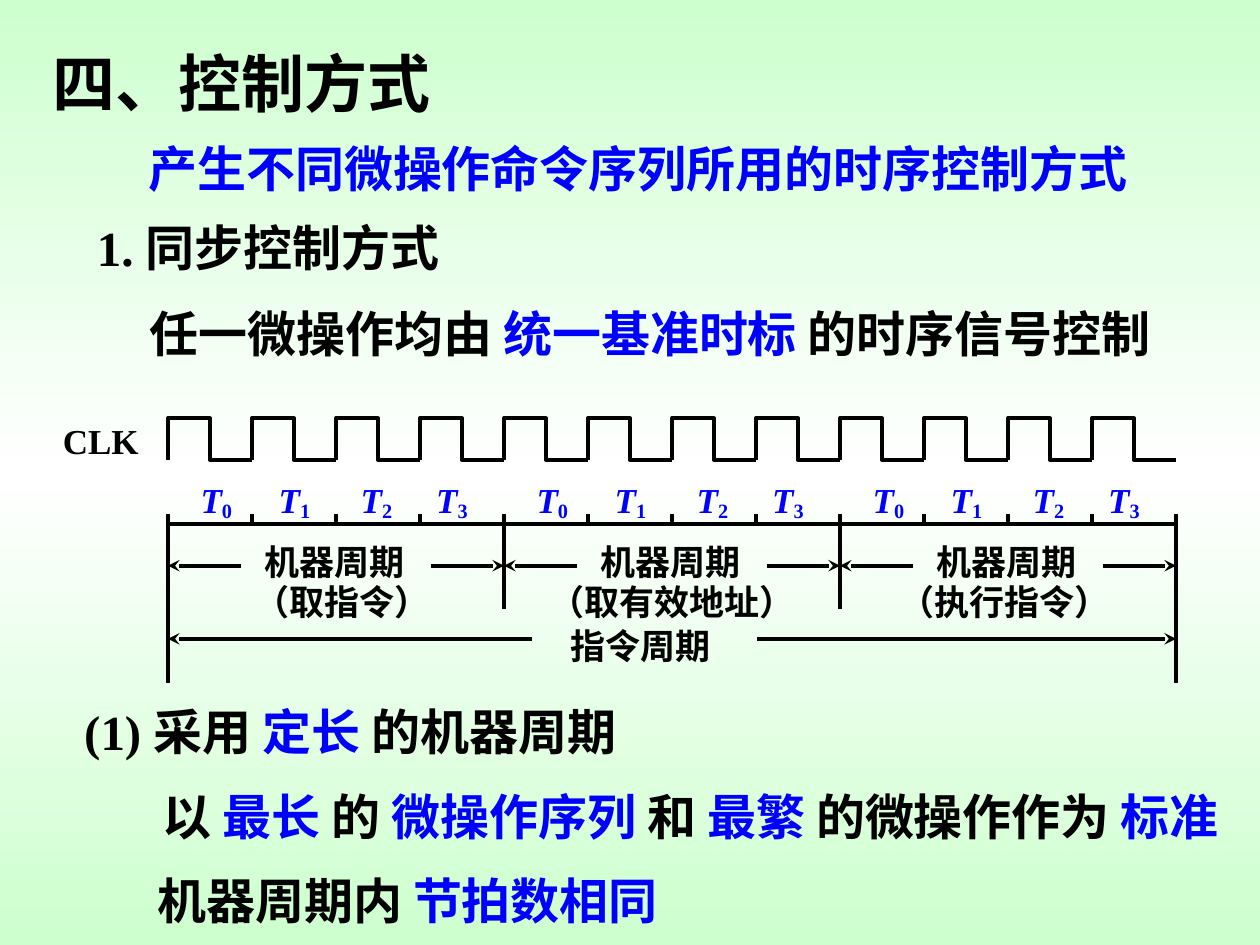
from copy import deepcopy

from lxml import etree
from pptx import Presentation
from pptx.dml.color import RGBColor
from pptx.enum import shapes, text
from pptx.oxml import ns
from pptx.util import Inches, Pt

BLACK = RGBColor(0, 0, 0)
BLUE = RGBColor(0, 0, 0xFF)
MINT = RGBColor(0xCD, 0xFF, 0xCE)
WHITE = RGBColor(0xFF, 0xFF, 0xFF)
FONT = "Times New Roman"

# Content: box (left, top, width, height), wrapping, runs (words, colour)
HEADING = "四、控制方式"
STATEMENTS = [
    ((1.08, 1.05, 8, 0.57), False,
     [("产生不同微操作命令序列所用的时序控制方式", BLUE)]),
    ((0.67, 1.68, 4.08, 0.57), True, [("1. 同步控制方式", BLACK)]),
    ((1.09, 2.36, 8.14, 0.57), False,
     [("任一微操作均由 ", BLACK), ("统一基准时标 ", BLUE),
      ("的时序信号控制", BLACK)]),
    ((0.57, 5.52, 5.38, 0.57), True,
     [("(1) 采用 ", BLACK), ("定长 ", BLUE), ("的机器周期", BLACK)]),
    ((1.19, 6.19, 8.62, 0.57), False,
     [("以 ", BLACK), ("最长 ", BLUE), ("的 ", BLACK), ("微操作序列 ", BLUE),
      ("和 ", BLACK), ("最繁 ", BLUE), ("的微操作作为 ", BLACK),
      ("标准", BLUE)]),
    ((1.15, 6.86, 5.51, 0.57), True,
     [("机器周期内 ", BLACK), ("节拍数相同", BLUE)]),
]
CLOCK = "CLK"
CYCLE = "机器周期"
INSTRUCTION_CYCLE = "指令周期"
PHASES = [  # words, left, width
    ("（取指令）", 1.92, 1.59),
    ("（取有效地址）", 4.26, 2.15),
    ("（执行指令）", 7.04, 1.87),
]
BEAT_OFFSETS = [0.16, 0.78, 1.43, 2.03]  # T0 to T3 within a cycle

# Timing diagram geometry
START, END = 4 / 3, 28 / 3
BEATS = len(BEAT_OFFSETS)
CYCLE_WIDTH = (END - START) / len(PHASES)
BEAT_WIDTH = CYCLE_WIDTH / BEATS
CLOCK_HIGH, CLOCK_LOW = 3.32, 3.65
TICK_TOP, AXIS_Y = 4.08, 4.16
CYCLE_BOTTOM, DIAGRAM_BOTTOM = 4.83, 5.42
CYCLE_ARROW_Y, INSTRUCTION_ARROW_Y = 4.49, 5.07
ARROW_LENGTH = 0.58
LABEL_HEIGHT = 0.44

prs = Presentation()
prs.slide_width, prs.slide_height = Inches(10), Inches(7.5)
slide = prs.slides.add_slide(prs.slide_layouts[5])


def add_run(paragraph, words, size, color, italic=False):
    run = paragraph.add_run()
    run.text = words
    font = run.font
    font.name, font.size, font.bold, font.italic = FONT, Pt(size), True, italic
    font.color.rgb = color
    return run


def fit_frame(frame, wrap=False):
    frame.word_wrap = wrap
    frame.auto_size = text.MSO_AUTO_SIZE.SHAPE_TO_FIT_TEXT


def add_label(box, runs, size=20, wrap=False):
    label = slide.shapes.add_textbox(*map(Inches, box))
    fit_frame(label.text_frame, wrap)
    paragraph = label.text_frame.paragraphs[0]
    for words, color in runs:
        add_run(paragraph, words, size, color)
    return paragraph


def style_line(line):
    line.color.rgb = BLACK
    line.width = Pt(2.25)


def add_rule(x1, y1, x2, y2, arrow=False):
    rule = slide.shapes.add_connector(
        shapes.MSO_CONNECTOR.STRAIGHT, *map(Inches, (x1, y1, x2, y2)))
    style_line(rule.line)
    properties = rule.element.spPr
    if arrow:
        outline = properties.find(ns.qn("a:ln"))
        etree.SubElement(outline, ns.qn("a:tailEnd"), type="stealth")
    etree.SubElement(properties, ns.qn("a:effectLst"))


# Background: mint, white, mint from top to bottom
fill = slide.background.fill
fill.gradient()
fill.gradient_angle = 270
for stop in fill.gradient_stops:
    stop.color.rgb = MINT
stop_list = slide.element.find(".//" + ns.qn("a:gsLst"))
stop_list.insert(1, deepcopy(stop_list[0]))
middle = fill.gradient_stops[1]
middle.position = 0.5
middle.color.rgb = WHITE

# Title
title = slide.shapes.title
title.left, title.top, title.width, title.height = map(
    Inches, (0.32, 0.3, 3.25, 0.7))
frame = title.text_frame
fit_frame(frame)
frame.vertical_anchor = text.MSO_ANCHOR.TOP
frame.paragraphs[0].alignment = text.PP_ALIGN.LEFT
add_run(frame.paragraphs[0], HEADING, 36, BLACK)

# Statements above and below the diagram
for box, wrap, runs in STATEMENTS:
    add_label(box, runs, 28, wrap)

# Clock signal
add_label((0.4, 3.28, 0.8, LABEL_HEIGHT), [(CLOCK, BLACK)])
for beat in range(BEATS * len(PHASES)):
    rise = START + beat * BEAT_WIDTH
    fall, finish = rise + BEAT_WIDTH / 2, rise + BEAT_WIDTH
    corners = [(rise, CLOCK_HIGH), (fall, CLOCK_HIGH),
               (fall, CLOCK_LOW), (finish, CLOCK_LOW)]
    outline = slide.shapes.build_freeform(Inches(rise), Inches(CLOCK_LOW))
    outline.add_line_segments(
        [(Inches(x), Inches(y)) for x, y in corners], close=False)
    pulse = outline.convert_to_shape()
    pulse.fill.background()
    pulse.shadow.inherit = False
    style_line(pulse.line)

# Time axis: short ticks for beats, longer ones for cycles and both ends
add_rule(START, AXIS_Y, END, AXIS_Y)
last_tick = BEATS * len(PHASES)
for tick in range(last_tick + 1):
    x = START + tick * BEAT_WIDTH
    if tick in (0, last_tick):
        bottom = DIAGRAM_BOTTOM
    else:
        bottom = AXIS_Y if tick % BEATS else CYCLE_BOTTOM
    add_rule(x, TICK_TOP, x, bottom)

# Machine cycles with their beats
for cycle, (phase, phase_left, phase_width) in enumerate(PHASES):
    left = START + cycle * CYCLE_WIDTH
    right = left + CYCLE_WIDTH
    add_rule(left + ARROW_LENGTH, CYCLE_ARROW_Y, left, CYCLE_ARROW_Y, True)
    add_rule(right - ARROW_LENGTH, CYCLE_ARROW_Y, right, CYCLE_ARROW_Y, True)
    add_label((left + BEAT_WIDTH, 4.24, 1.31, LABEL_HEIGHT), [(CYCLE, BLACK)])
    add_label((phase_left, 4.56, phase_width, LABEL_HEIGHT), [(phase, BLACK)])
    for number, offset in enumerate(BEAT_OFFSETS):
        beat_name = add_label((left + offset, 3.75, 0.45, 0.45), [])
        add_run(beat_name, "T", 20, BLUE, italic=True)
        subscript = add_run(beat_name, str(number), 20, BLUE)
        subscript.font._element.set("baseline", "-15000")

# Instruction cycle
add_rule(4.22, INSTRUCTION_ARROW_Y, START, INSTRUCTION_ARROW_Y, True)
add_rule(6.01, INSTRUCTION_ARROW_Y, END, INSTRUCTION_ARROW_Y, True)
add_label((4.43, 4.91, 1.31, LABEL_HEIGHT), [(INSTRUCTION_CYCLE, BLACK)])

prs.save("out.pptx")
